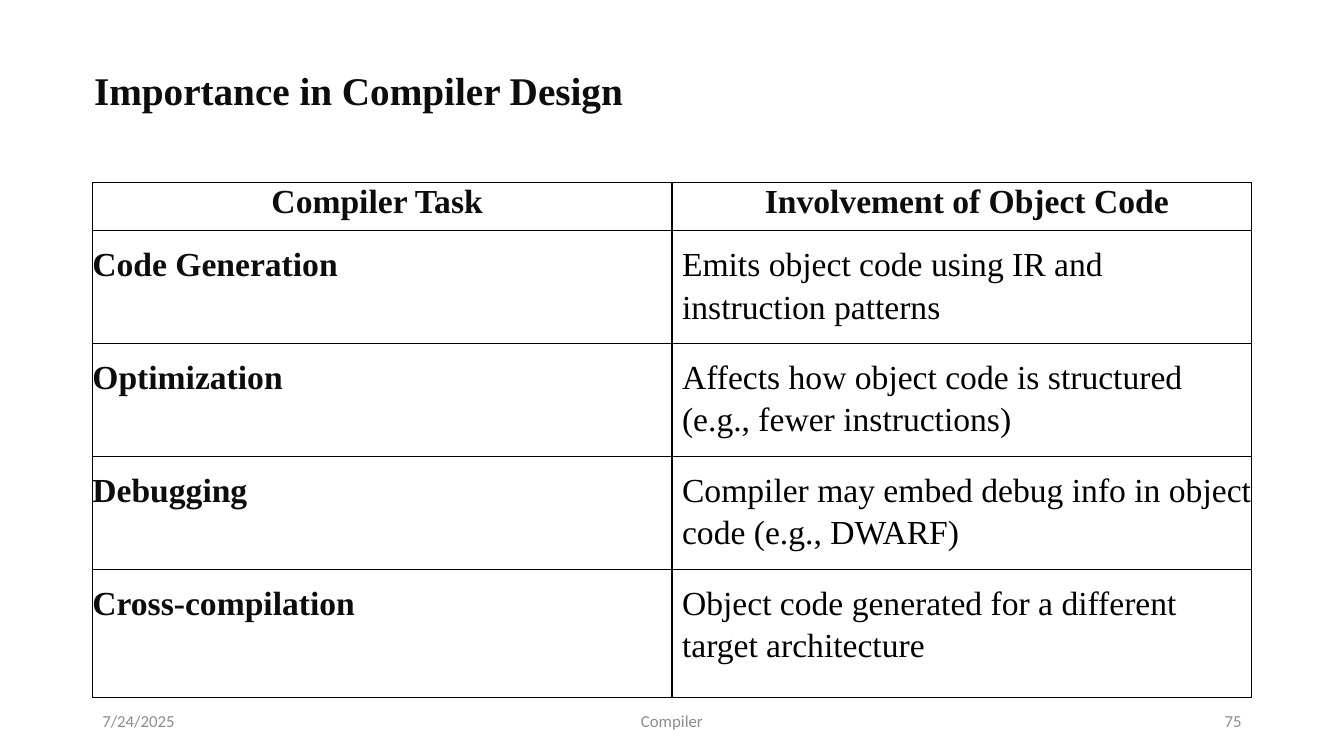
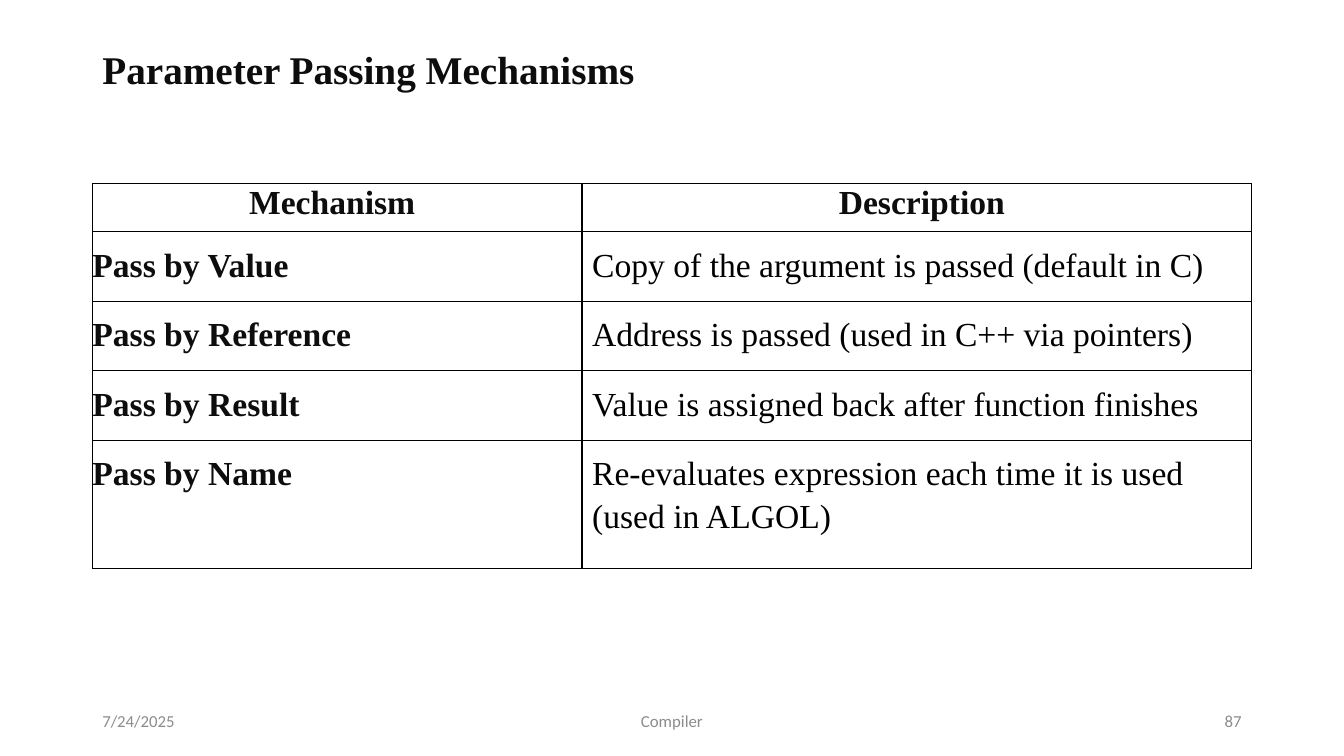
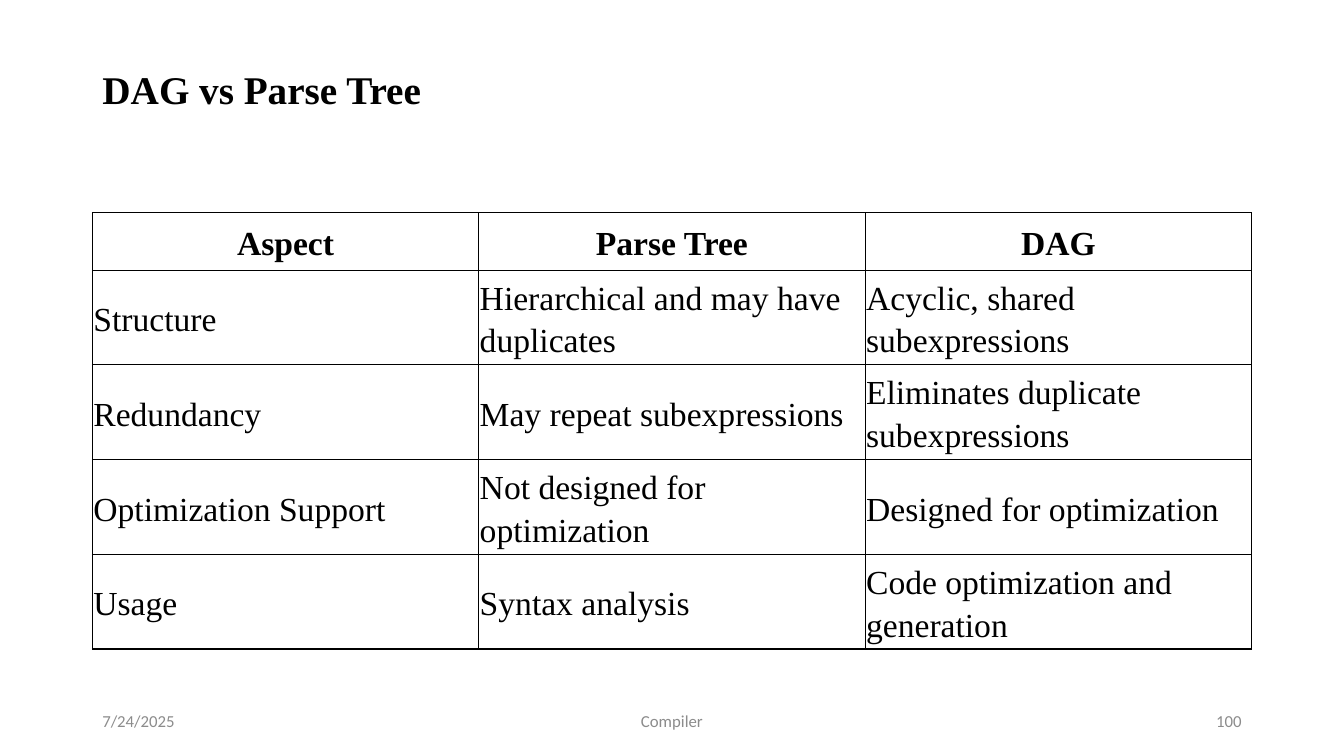
from lxml import etree
from pptx import Presentation
from pptx import util as u
from pptx.dml.color import RGBColor
from pptx.enum import text as t
from pptx.oxml import ns

CELL = u.Inches(1) // 12  # the slide is a grid of 160 columns by 90 rows
COLS, ROWS = 160, 90
EDGE, WIDE = 11, 138
SERIF, SANS = "Times New Roman", "Calibri"
BLACK, INK, GREY = "000000", "0D0D0D", "8C8C8C"
LEFT, MID, RIGHT = t.PP_ALIGN.LEFT, t.PP_ALIGN.CENTER, t.PP_ALIGN.RIGHT
TOP, CORE, BASE = t.MSO_ANCHOR.TOP, t.MSO_ANCHOR.MIDDLE, t.MSO_ANCHOR.BOTTOM
PAD = 1.2


def grid(*sizes):
    return [u.Emu(round(size * CELL)) for size in sizes]


def hue(code):
    return RGBColor.from_string(code)


def paired(row, col, last):
    """Look of a cell in a table of terms and their meanings."""
    head = row == 0
    foot = 3 if row == last else PAD
    return dict(
        pads=(PAD if col else 0, 0 if head else PAD, 0 if col else PAD, foot),
        anchor=BASE if head else TOP,
        align=MID if head else LEFT,
        lead=u.Pt(12) if head else 1.15,
        bold=head or col == 0,
        color=INK if head or col == 0 else BLACK,
    )


def even(row, col, last):
    """Look of a cell in a table whose columns are all alike."""
    head = row == 0
    return dict(pads=(0.12,) * 4, anchor=CORE, align=MID if head else LEFT,
                lead=1.15, bold=head, color=BLACK)


class Deck:
    """Holds the shared style and the current slide."""

    def __init__(self):
        self.show = Presentation()
        self.show.slide_width, self.show.slide_height = grid(COLS, ROWS)
        self.slide = None

    def page(self, number):
        """Start a slide and add its footer."""
        self.slide = self.show.slides.add_slide(self.show.slide_layouts[5])
        self.note(EDGE, 36, "7/24/2025", LEFT)
        self.note(53, 54, "Compiler", MID)
        self.note(113, 36, str(number), RIGHT)

    def put(self, para, words, size, color, font=SERIF, bold=False,
            align=LEFT, lead=None, after=None):
        """Add one styled run to a paragraph."""
        para.alignment = align
        para.line_spacing = lead
        if after is not None:
            para.space_after = u.Pt(after)
        run = para.add_run()
        run.text = words
        run.font.name, run.font.size, run.font.bold = font, u.Pt(size), bold
        run.font.color.rgb = hue(color)

    def note(self, left, width, words, align):
        """Add one footer text."""
        frame = self.slide.shapes.add_textbox(*grid(left, 83.4, width, 4.8)).text_frame
        frame.word_wrap = True
        frame.vertical_anchor = CORE
        self.put(frame.paragraphs[0], words, 12, GREY, SANS, align=align)

    def title(self, words, top, left=EDGE, high=6.84, color=INK, **space):
        shape = self.slide.shapes.title
        shape.left, shape.top, shape.width, shape.height = grid(left, top, 80, high)
        frame = shape.text_frame
        frame.word_wrap = True
        frame.auto_size = t.MSO_AUTO_SIZE.SHAPE_TO_FIT_TEXT
        frame.vertical_anchor = TOP
        self.put(frame.paragraphs[0], words, 28, color, bold=True, **space)

    def frame(self, cell):
        """Draw a thin black border round a cell and clear its fill."""
        props = cell._tc.get_or_add_tcPr()
        for side in "LRTB":
            line = etree.SubElement(props, ns.qn(f"a:ln{side}"), w=str(u.Pt(1)))
            fill = etree.SubElement(line, ns.qn("a:solidFill"))
            etree.SubElement(fill, ns.qn("a:srgbClr"), val=BLACK)
        cell.fill.background()

    def table(self, top, cols, rows, data, look):
        shape = self.slide.shapes.add_table(
            len(rows), len(cols), *grid(EDGE, top, WIDE, sum(rows)))
        table = shape.table
        table.first_row = table.horz_banding = False
        for col, size in zip(table.columns, grid(*cols)):
            col.width = size
        for row, size in zip(table.rows, grid(*rows)):
            row.height = size
        for i, line in enumerate(data):
            for j, words in enumerate(line):
                self.fill(table.cell(i, j), words, **look(i, j, len(data) - 1))

    def fill(self, cell, words, pads, anchor, **style):
        self.frame(cell)
        (cell.margin_left, cell.margin_top,
         cell.margin_right, cell.margin_bottom) = grid(*pads)
        cell.vertical_anchor = anchor
        self.put(cell.text_frame.paragraphs[0], words, 24, after=8, **style)


def main():
    deck = Deck()

    deck.page(75)
    deck.title("Importance in Compiler Design", 6.5, left=10, high=7.32,
               lead=1.15, after=8)
    deck.table(21.72, [WIDE / 2] * 2, [5.76] + [13.32] * 3 + [15.12], [
        ("Compiler Task", "Involvement of Object Code"),
        ("Code Generation", "Emits object code using IR and instruction patterns"),
        ("Optimization",
         "Affects how object code is structured (e.g., fewer instructions)"),
        ("Debugging", "Compiler may embed debug info in object code (e.g., DWARF)"),
        ("Cross-compilation",
         "Object code generated for a different target architecture"),
    ], paired)

    deck.page(87)
    deck.title("Parameter Passing Mechanisms", 4.8)
    deck.table(21.84, [58.3, WIDE - 58.3], [5.76] + [8.28] * 3 + [15.12], [
        ("Mechanism", "Description"),
        ("Pass by Value", "Copy of the argument is passed (default in C)"),
        ("Pass by Reference", "Address is passed (used in C++ via pointers)"),
        ("Pass by Result", "Value is assigned back after function finishes"),
        ("Pass by Name",
         "Re-evaluates expression each time it is used (used in ALGOL)"),
    ], paired)

    deck.page(100)
    deck.title("DAG vs Parse Tree", 7.2, color=BLACK)
    deck.table(25.32, [WIDE / 3] * 3, [6.84] + [11.28] * 4, [
        ("Aspect", "Parse Tree", "DAG"),
        ("Structure", "Hierarchical and may have duplicates",
         "Acyclic, shared subexpressions"),
        ("Redundancy", "May repeat subexpressions",
         "Eliminates duplicate subexpressions"),
        ("Optimization Support", "Not designed for optimization",
         "Designed for optimization"),
        ("Usage", "Syntax analysis", "Code optimization and generation"),
    ], even)

    deck.show.save("out.pptx")


if __name__ == "__main__":
    main()
